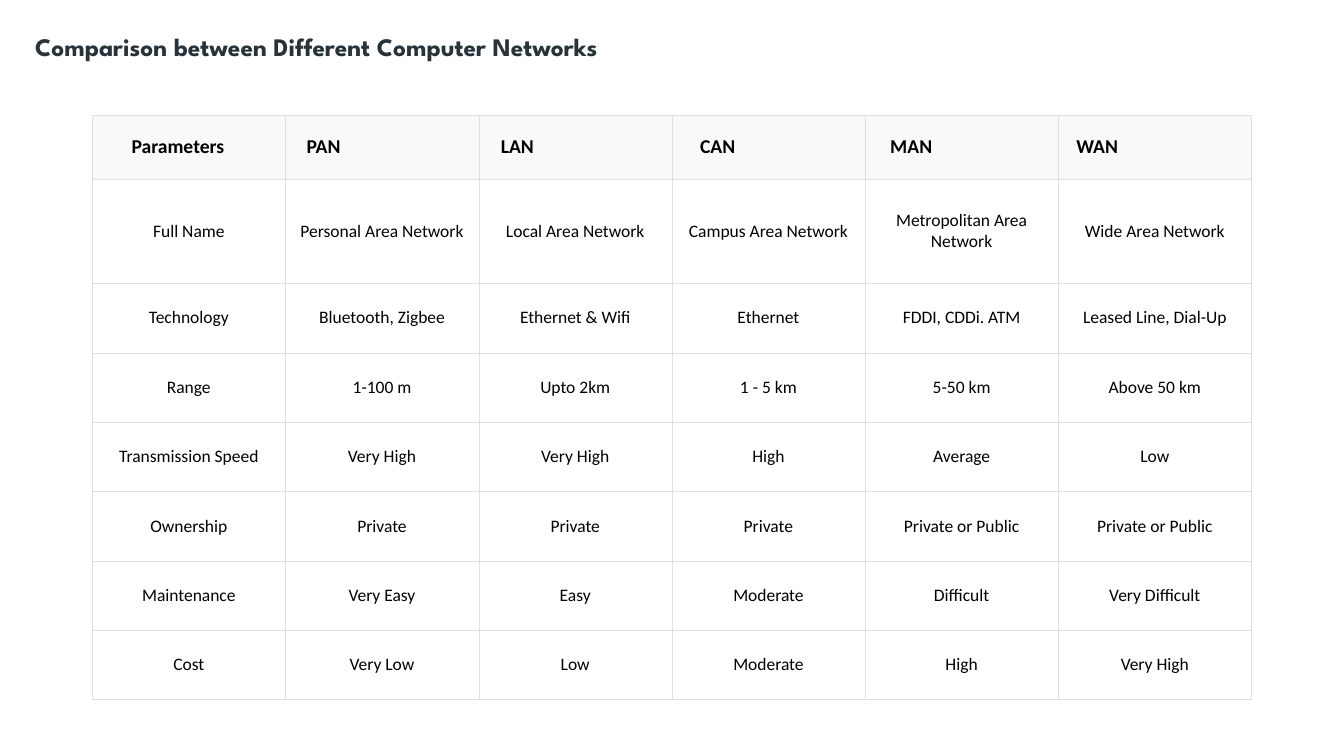
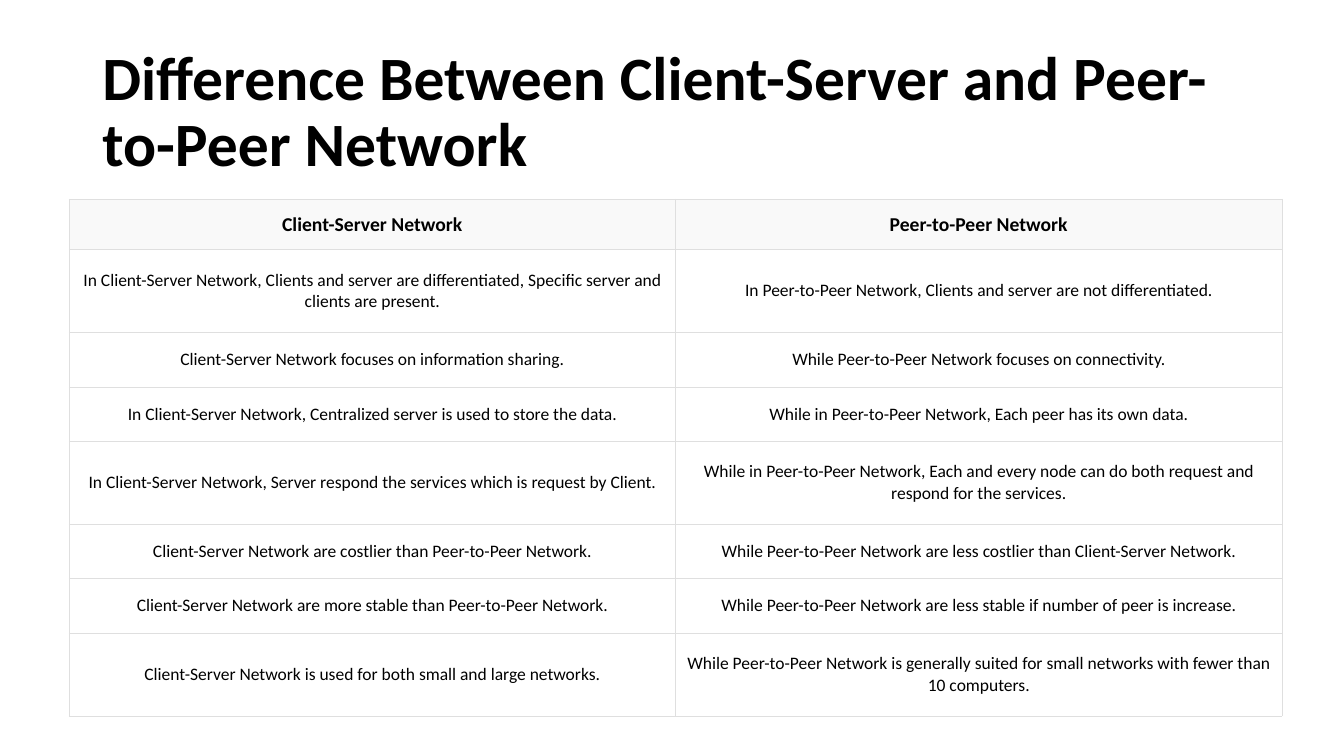
import pptx
import pptx.dml.color
import pptx.enum.shapes
import pptx.enum.text
import pptx.oxml
import pptx.oxml.ns
import pptx.util

WIDE, HIGH = 13.33, 7.5
INK, SLATE, RULE, HEAD, PAPER = "000000", "273239", "DFDFDF", "F9F9F9", "FFFFFF"
BODY, BRAND = "Calibri", "League Spartan"
ALIGN = pptx.enum.text.PP_ALIGN
ANCHOR = pptx.enum.text.MSO_ANCHOR
RECT = pptx.enum.shapes.MSO_SHAPE.RECTANGLE
inch = pptx.util.Inches


def color(code):
    return pptx.dml.color.RGBColor.from_string(code)


def place(box):
    x, y, w, h = box
    return [inch(share * side / 100)
            for share, side in ((x, WIDE), (y, HIGH), (w, WIDE), (h, HIGH))]


def write(frame, text, size=12.5, font=BODY, ink=INK, bold=False,
          align=ALIGN.LEFT, space=1.0):
    frame.word_wrap = True
    para = frame.paragraphs[0]
    para.alignment = align
    para.line_spacing = space
    run = para.add_run()
    run.text = text
    run.font.size = pptx.util.Pt(size)
    run.font.name = font
    run.font.bold = bold
    run.font.color.rgb = color(ink)


def panel(slide, box):
    shape = slide.shapes.add_shape(RECT, *place(box))
    shape.shadow.inherit = False
    shape.fill.solid()
    shape.fill.fore_color.rgb = color(PAPER)
    shape.line.fill.background()
    return shape


def title(shape, text, pad=(0, 0), anchor=ANCHOR.MIDDLE, **style):
    frame = shape.text_frame
    frame.vertical_anchor = anchor
    frame.margin_left = frame.margin_right = inch(pad[0])
    frame.margin_top = frame.margin_bottom = inch(pad[1])
    write(frame, text, bold=True, **style)


def border(cell):
    props = cell._tc.get_or_add_tcPr()
    for spot, side in enumerate(("lnL", "lnR", "lnT", "lnB")):
        line = pptx.oxml.parse_xml(
            f'<a:{side} {pptx.oxml.ns.nsdecls("a")} w="{pptx.util.Pt(0.15)}">'
            f'<a:solidFill><a:srgbClr val="{RULE}"/></a:solidFill></a:{side}>')
        props.insert(spot, line)


def fill(cell, text, head, inset):
    cell.fill.solid()
    cell.fill.fore_color.rgb = color(HEAD if head else PAPER)
    cell.vertical_anchor = ANCHOR.MIDDLE
    cell.margin_left = inch(inset or 0.07)
    cell.margin_right = inch(0.07)
    cell.margin_top = cell.margin_bottom = inch(0.07 if head else 0.1)
    write(cell.text_frame, text, size=14 if head else 12.5, bold=head,
          align=ALIGN.LEFT if inset else ALIGN.CENTER)
    border(cell)


def grid(slide, box, rows, parts, insets=None):
    spot = place(box)
    count = len(rows[0])
    table = slide.shapes.add_table(len(rows), count, *spot).table
    table.first_row = table.horz_banding = False
    for col in table.columns:
        col.width = int(spot[2] / count)
    for r, (row, part) in enumerate(zip(rows, parts)):
        table.rows[r].height = int(spot[3] * part / sum(parts))
        for c, text in enumerate(row):
            inset = insets[c] if insets and r == 0 else None
            fill(table.cell(r, c), text, r == 0, inset)


KINDS = [
    ("Parameters", "PAN", "LAN", "CAN", "MAN", "WAN"),
    ("Full Name", "Personal Area Network", "Local Area Network",
     "Campus Area Network", "Metropolitan Area Network", "Wide Area Network"),
    ("Technology", "Bluetooth, Zigbee", "Ethernet & Wifi", "Ethernet",
     "FDDI, CDDi. ATM", "Leased Line, Dial-Up"),
    ("Range", "1-100 m", "Upto 2km", "1 - 5 km", "5-50 km", "Above 50 km"),
    ("Transmission Speed", "Very High", "Very High", "High", "Average", "Low"),
    ("Ownership", "Private", "Private", "Private", "Private or Public",
     "Private or Public"),
    ("Maintenance", "Very Easy", "Easy", "Moderate", "Difficult",
     "Very Difficult"),
    ("Cost", "Very Low", "Low", "Moderate", "High", "Very High"),
]

MODELS = [
    ("Client-Server Network", "Peer-to-Peer Network"),
    ("In Client-Server Network, Clients and server are differentiated, "
     "Specific server and clients are present.",
     "In Peer-to-Peer Network, Clients and server are not differentiated."),
    ("Client-Server Network focuses on information sharing.",
     "While Peer-to-Peer Network focuses on connectivity."),
    ("In Client-Server Network, Centralized server is used to store the data.",
     "While in Peer-to-Peer Network, Each peer has its own data."),
    ("In Client-Server Network, Server respond the services which is request "
     "by Client.",
     "While in Peer-to-Peer Network, Each and every node can do both request "
     "and respond for the services."),
    ("Client-Server Network are costlier than Peer-to-Peer Network.",
     "While Peer-to-Peer Network are less costlier than Client-Server Network."),
    ("Client-Server Network are more stable than Peer-to-Peer Network.",
     "While Peer-to-Peer Network are less stable if number of peer is increase."),
    ("Client-Server Network is used for both small and large networks.",
     "While Peer-to-Peer Network is generally suited for small networks with "
     "fewer than 10 computers."),
]


def main():
    deck = pptx.Presentation()
    deck.slide_width, deck.slide_height = inch(WIDE), inch(HIGH)
    blank = deck.slide_layouts[6]

    slide = deck.slides.add_slide(blank)
    grid(slide, (6.86, 15.27, 86.25, 77.3), KINDS, [0.63, 1.04] + [0.69] * 6,
         insets=(0.39, 0.21, 0.22, 0.28, 0.25, 0.18))
    title(panel(slide, (2.62, 4.13, 76.5, 8.13)),
          "Comparison between Different Computer Networks",
          anchor=ANCHOR.TOP, size=18, font=BRAND, ink=SLATE)

    slide = deck.slides.add_slide(blank)
    title(slide.shapes.add_textbox(*place((6.87, 5.33, 86.25, 19.33))),
          "Difference Between Client-Server and Peer-to-Peer Network",
          pad=(0.1, 0.05), size=44, space=0.9)
    grid(slide, (5.14, 26.33, 90.25, 68.38), MODELS,
         [0.5] + [0.82, 0.54, 0.54] * 2 + [0.82])

    deck.save("out.pptx")


if __name__ == "__main__":
    main()
